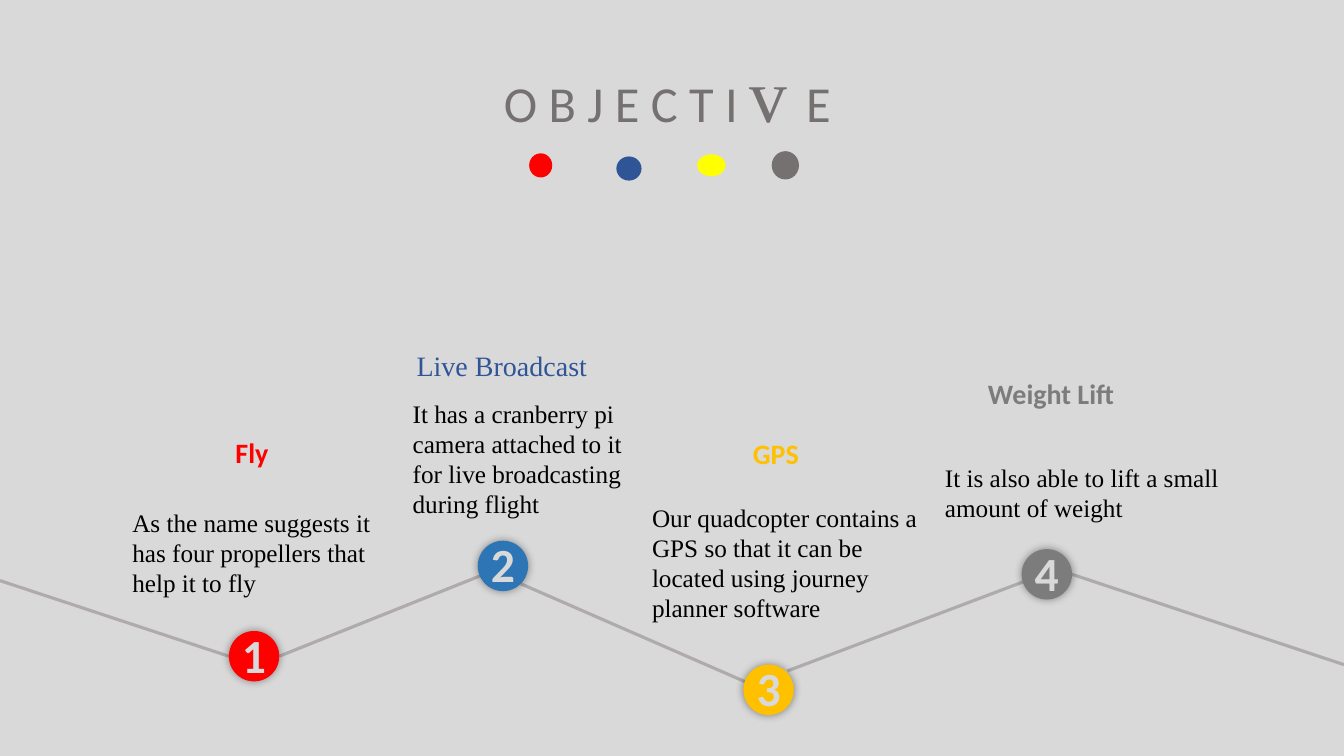
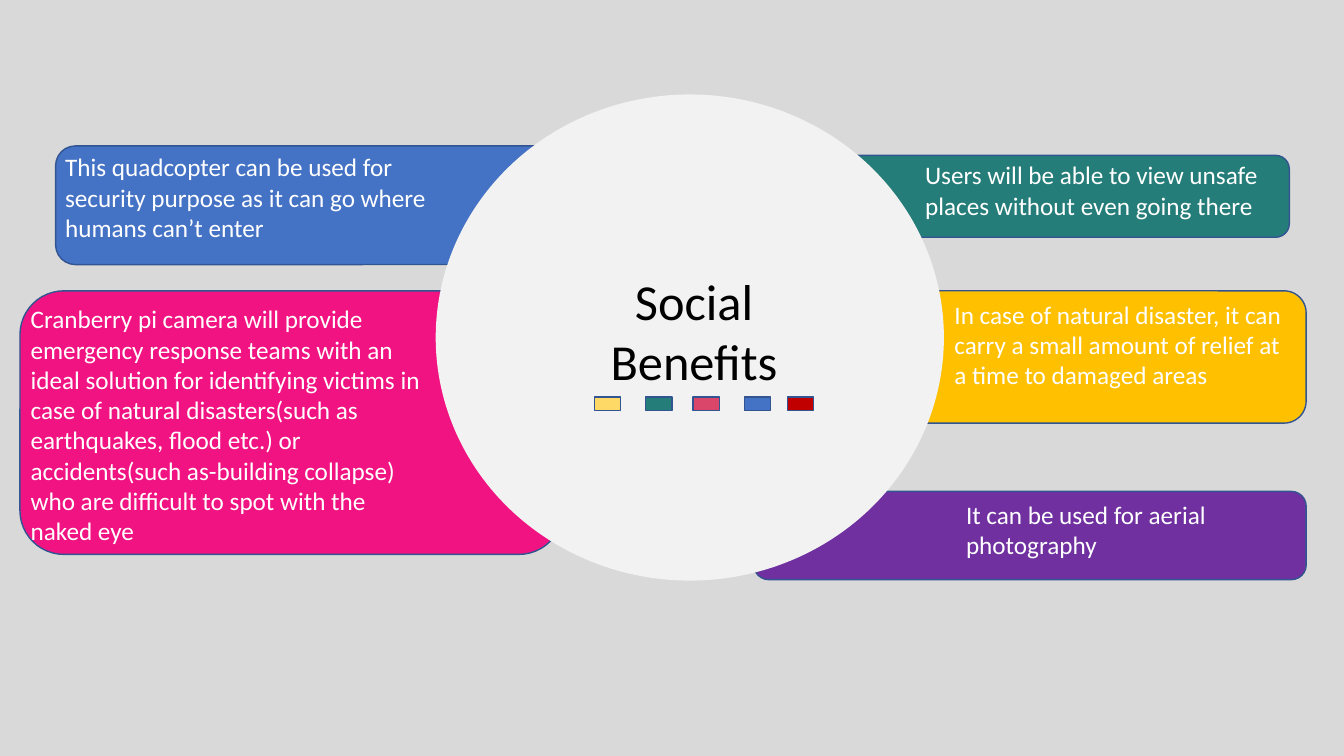
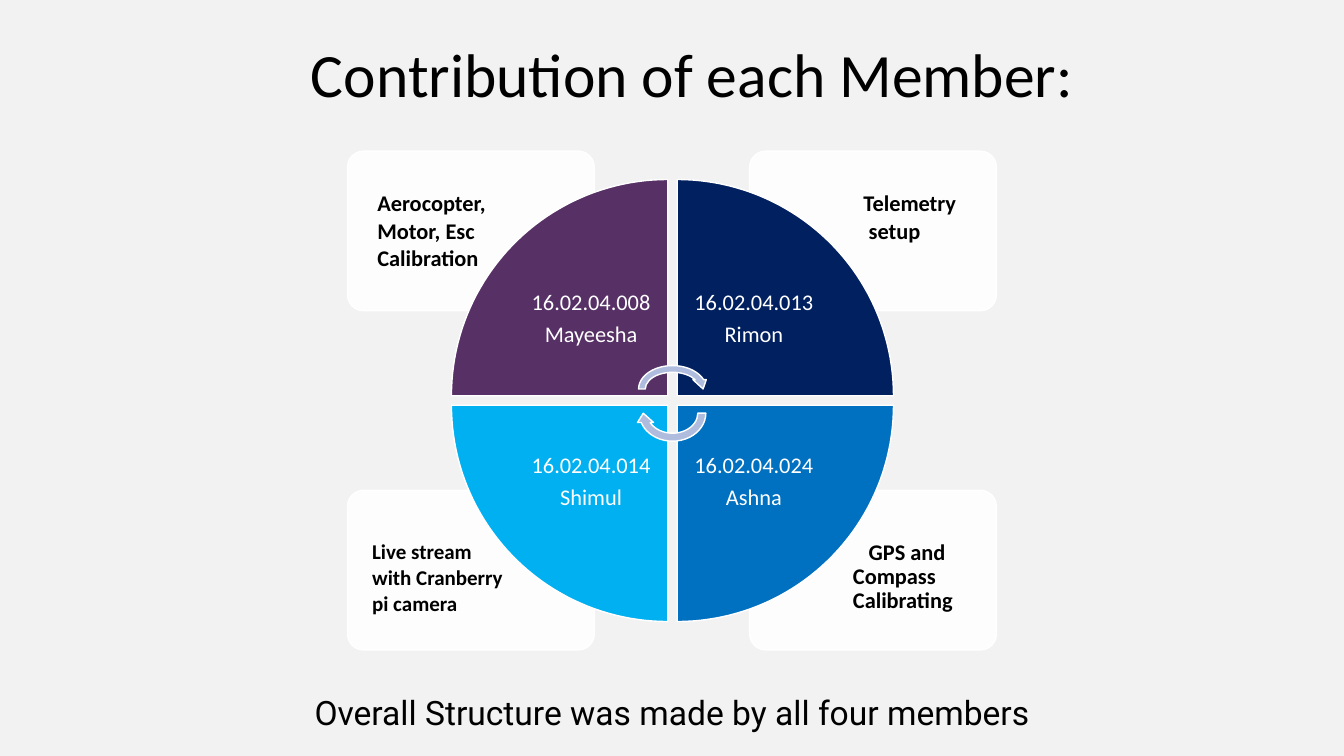
"""Build three quadcopter slides: objectives, social benefits and member contributions."""
from math import cos, radians, sin
from typing import NamedTuple

from lxml import etree
from pptx import Presentation
from pptx.dml.color import RGBColor
from pptx.enum.shapes import MSO_CONNECTOR, MSO_SHAPE
from pptx.enum.text import MSO_ANCHOR, PP_ALIGN
from pptx.oxml.ns import qn
from pptx.util import Pt

STRAIGHT = MSO_CONNECTOR.STRAIGHT
OVAL, RECT = MSO_SHAPE.OVAL, MSO_SHAPE.RECTANGLE
ROUNDED, LOOP_ARROW = MSO_SHAPE.ROUNDED_RECTANGLE, MSO_SHAPE.CIRCULAR_ARROW
LEFT, CENTER = PP_ALIGN.LEFT, PP_ALIGN.CENTER
TOP, MIDDLE = MSO_ANCHOR.TOP, MSO_ANCHOR.MIDDLE
PX = 9525
CORNER_INSET = 0.29


class Style(NamedTuple):
    font: str
    size: int
    color: str
    bold: bool = False


class Theme:
    sans, serif, footer_font = "Calibri", "Times New Roman", "Roboto"
    gray, light, white, black = "D9D9D9", "F2F2F2", "FFFFFF", "000000"
    red, navy, yellow, stone = "FF0000", "2F5597", "FFFF00", "767171"
    sky, amber, steel, route = "2E75B6", "FFC000", "7C7C7C", "AFABAB"
    purple, teal, pink, blue = "7030A0", "257D79", "F11382", "4472C4"
    outline, sand, rose, crimson = "325491", "FFD966", "DA4669", "C00000"
    plum, midnight, cyan, azure, loop = "573066", "002060", "00B0F0", "0070C0", "B0BCDE"
    spaced = Style(sans, 36, stone)
    spaced_big = Style(serif, 54, stone)
    number = Style(sans, 34, gray, True)
    detail = Style(serif, 18, black)
    hub = Style(sans, 36, black)
    panel = Style(sans, 18, white)
    title = Style(sans, 44, black)
    member = Style(sans, 16, white)
    task = Style(sans, 16, black, True)
    task_small = Style(sans, 15, black, True)
    footer = Style(footer_font, 24, black)


def paint(shape, fill, line=None):
    shape.shadow.inherit = False
    shape.fill.solid()
    shape.fill.fore_color.rgb = RGBColor.from_string(fill)
    if line:
        shape.line.color.rgb = RGBColor.from_string(line)
        shape.line.width = Pt(1)
    else:
        shape.line.fill.background()
    return shape


def write(shape, paragraphs, align=LEFT, anchor=TOP, insets=(10, 5, 10, 5), spacing=1.0, after=0):
    frame = shape.text_frame
    frame.word_wrap = True
    frame.vertical_anchor = anchor
    frame.margin_left, frame.margin_top, frame.margin_right, frame.margin_bottom = (
        int(inset * PX) for inset in insets)
    for index, runs in enumerate(paragraphs):
        paragraph = frame.add_paragraph() if index else frame.paragraphs[0]
        paragraph.alignment = align
        paragraph.line_spacing = spacing
        paragraph.space_after = Pt(after)
        for words, style in runs:
            run = paragraph.add_run()
            run.text = words
            run.font.name = style.font
            run.font.size = Pt(style.size)
            run.font.bold = style.bold
            run.font.color.rgb = RGBColor.from_string(style.color)
    return frame


deck = Presentation()
deck.slide_width, deck.slide_height = 1280 * PX, 720 * PX
slides = []
for backdrop in (Theme.gray, Theme.gray, Theme.light):
    slide = deck.slides.add_slide(deck.slide_layouts[6])
    slide.background.fill.solid()
    slide.background.fill.fore_color.rgb = RGBColor.from_string(backdrop)
    slides.append(slide.shapes)
objective, benefits, contribution = slides

for ends in ((1021, 547, 1280, 633), (975, 554, 750, 639), (496, 556, 732, 659),
             (466, 545, 266, 625), (0, 553, 218, 625)):
    leg = objective.add_connector(STRAIGHT, *(value * PX for value in ends))
    leg.line.color.rgb = RGBColor.from_string(Theme.route)
    leg.line.width = Pt(2.25)
    etree.SubElement(leg.element.spPr, qn("a:effectLst"))

goals = [
    (218, 601, Theme.red),
    (455, 515, Theme.sky),
    (708, 633, Theme.amber),
    (973, 523, Theme.steel),
]
for number, (x, y, color) in enumerate(goals, 1):
    stop = paint(objective.add_shape(OVAL, x * PX, y * PX, 48 * PX, 48 * PX), color)
    glow = etree.SubElement(stop.element.spPr.find(qn("a:effectLst")), qn("a:outerShdw"),
                            blurRad=str(Pt(6)), dist="0", dir="0", algn="ctr", rotWithShape="0")
    tint = etree.SubElement(glow, qn("a:srgbClr"), val=Theme.black)
    etree.SubElement(tint, qn("a:alpha"), val="40000")
    write(stop, [[(str(number), Theme.number)]], CENTER, MIDDLE, (0, 0, 0, 4))

heading = objective.add_textbox(364 * PX, 40 * PX, 543 * PX, 156 * PX)
write(heading, [[("O B J E C T I ", Theme.spaced), ("v ", Theme.spaced_big), ("E", Theme.spaced)]],
      CENTER)

for x, y, width, height, color in ((504, 146, 22, 23, Theme.red), (587, 149, 24, 23, Theme.navy),
                                   (664, 147, 27, 21, Theme.yellow),
                                   (735, 144, 26, 27, Theme.stone)):
    paint(objective.add_shape(OVAL, x * PX, y * PX, width * PX, height * PX), color)

captions = [
    ("Fly", Style(Theme.sans, 20, Theme.red, True), (136, 410, 208, 42),
     "As the name suggests it has four propellers that help it to fly", (116, 478, 276, 97)),
    ("Live Broadcast", Style(Theme.serif, 20, Theme.navy), (374, 327, 208, 42),
     "It has a cranberry pi camera attached to it for live broadcasting during flight",
     (383, 374, 241, 126)),
    ("GPS", Style(Theme.sans, 20, Theme.amber, True), (635, 411, 208, 42),
     "Our quadcopter contains a GPS so that it can be located using journey planner software",
     (611, 473, 275, 126)),
    ("Weight Lift", Style(Theme.sans, 20, Theme.steel, True), (897, 354, 208, 42),
     "It is also able to lift a small amount of weight", (890, 435, 314, 68)),
]
for name, style, name_box, detail, detail_box in captions:
    write(objective.add_textbox(*(value * PX for value in name_box)), [[(name, style)]], CENTER)
    write(objective.add_textbox(*(value * PX for value in detail_box)), [[(detail, Theme.detail)]])

panels = [
    ((718, 468, 526, 84), Theme.purple, (920, 475, 1233), "It can be used for aerial photography"),
    ((820, 277, 424, 126), Theme.amber, (909, 285, 1233),
     "In case of natural disaster, it can carry a small amount of relief at a time to damaged areas"),
    ((804, 148, 424, 78), Theme.teal, (881, 152, 1217),
     "Users will be able to view unsafe places without even going there"),
    ((19, 277, 517, 251), Theme.pink, (29, 288, 405),
     "Cranberry pi camera will provide emergency response teams with an ideal solution for "
     "identifying victims in case of natural disasters(such as earthquakes, flood etc.) or "
     "accidents(such as-building collapse) who are difficult to spot with the naked eye"),
    ((53, 139, 484, 113), Theme.blue, (62, 144, 411),
     "This quadcopter can be used for security purpose as it can go where humans can’t enter"),
]
for box, color, (text_left, text_top, text_right), benefit in panels:
    x, y, width, height = box
    panel = paint(benefits.add_shape(ROUNDED, *(value * PX for value in box)), color, Theme.outline)
    corner = height * panel.adjustments[0] * CORNER_INSET
    insets = (text_left - x - corner, max(0, text_top - y - corner),
              x + width - text_right - corner, 0)
    write(panel, [[(benefit, Theme.panel)]], insets=insets)

paint(benefits.add_shape(OVAL, 415 * PX, 90 * PX, 484 * PX, 463 * PX), Theme.light)
hub_title = benefits.add_textbox(533 * PX, 252 * PX, 256 * PX, 126 * PX)
write(hub_title, [[("Social Benefits", Theme.hub)]], CENTER)
for x, color in ((566, Theme.sand), (615, Theme.teal), (660, Theme.rose), (709, Theme.blue),
                 (750, Theme.crimson)):
    paint(benefits.add_shape(RECT, x * PX, 378 * PX, 25 * PX, 13 * PX), color, Theme.outline)

RADIUS = 206
members = [
    (-1, -1, Theme.plum, "16.02.04.008", "Mayeesha", Theme.task, 18,
     [("Aerocopter,", 0), ("Motor, Esc", 0), ("Calibration", 0)]),
    (1, -1, Theme.midnight, "16.02.04.013", "Rimon", Theme.task, 18,
     [("Telemetry", 10), ("setup", 15)]),
    (1, 1, Theme.azure, "16.02.04.024", "Ashna", Theme.task, 18,
     [("GPS and Compass Calibrating", 15)]),
    (-1, 1, Theme.cyan, "16.02.04.014", "Shimul", Theme.task_small, 13,
     [("Live stream", 0), ("with Cranberry", 0), ("pi camera", 0)]),
]
for side, level, color, code, member, style, margin, tasks in members:
    on_left, on_top = side < 0, level < 0
    card = paint(contribution.add_shape(ROUNDED, (331 if on_left else 714) * PX,
                                        (144 if on_top else 467) * PX, 235 * PX, 152 * PX),
                 Theme.white, Theme.white)
    card.adjustments[0] = 0.1
    etree.SubElement(card.element.spPr.find(qn("a:solidFill"))[0], qn("a:alpha"), val="90000")
    frame = write(card, [[(task, style)] for task, _ in tasks], spacing=0.9, after=2.4,
                  insets=(6 if on_left else 76, 35 if on_top else 44, 60 if on_left else 6, 0))
    for paragraph, (_, indent) in zip(frame.paragraphs, tasks):
        layout = paragraph._p.get_or_add_pPr()
        layout.set("marL", str(margin * PX))
        layout.set("indent", str(indent * PX))

    hub_x, hub_y = 636 if on_left else 645, 377 if on_top else 386
    arc = [(int((hub_x + side * RADIUS * cos(radians(angle))) * PX),
            int((hub_y + level * RADIUS * sin(radians(angle))) * PX)) for angle in range(0, 91, 2)]
    outline = contribution.build_freeform(hub_x * PX, hub_y * PX)
    outline.add_line_segments(arc, close=True)
    wedge = paint(outline.convert_to_shape(), color, Theme.white)
    write(wedge, [[(code, Theme.member)], [(member, Theme.member)]], CENTER, MIDDLE, spacing=0.9,
          after=5.6, insets=(72 if on_left else 12, 72 if on_top else 12,
                             12 if on_left else 72, 12 if on_top else 72))

for y, height, turn in ((345, 51, 0), (363, 61, 180)):
    arrow = paint(contribution.add_shape(LOOP_ARROW, 605 * PX, y * PX, 71 * PX, height * PX),
                  Theme.loop, Theme.white)
    arrow.rotation = turn

headline = contribution.add_textbox(164 * PX, 35 * PX, 991 * PX, 77 * PX)
write(headline, [[("Contribution of each Member:", Theme.title)]], CENTER, MIDDLE, spacing=0.9)
closing = contribution.add_textbox(47 * PX, 649 * PX, 1186 * PX, 64 * PX)
write(closing, [[("Overall Structure was made by all four members", Theme.footer)]], CENTER,
      insets=(10, 10, 10, 10))

deck.save("out.pptx")
